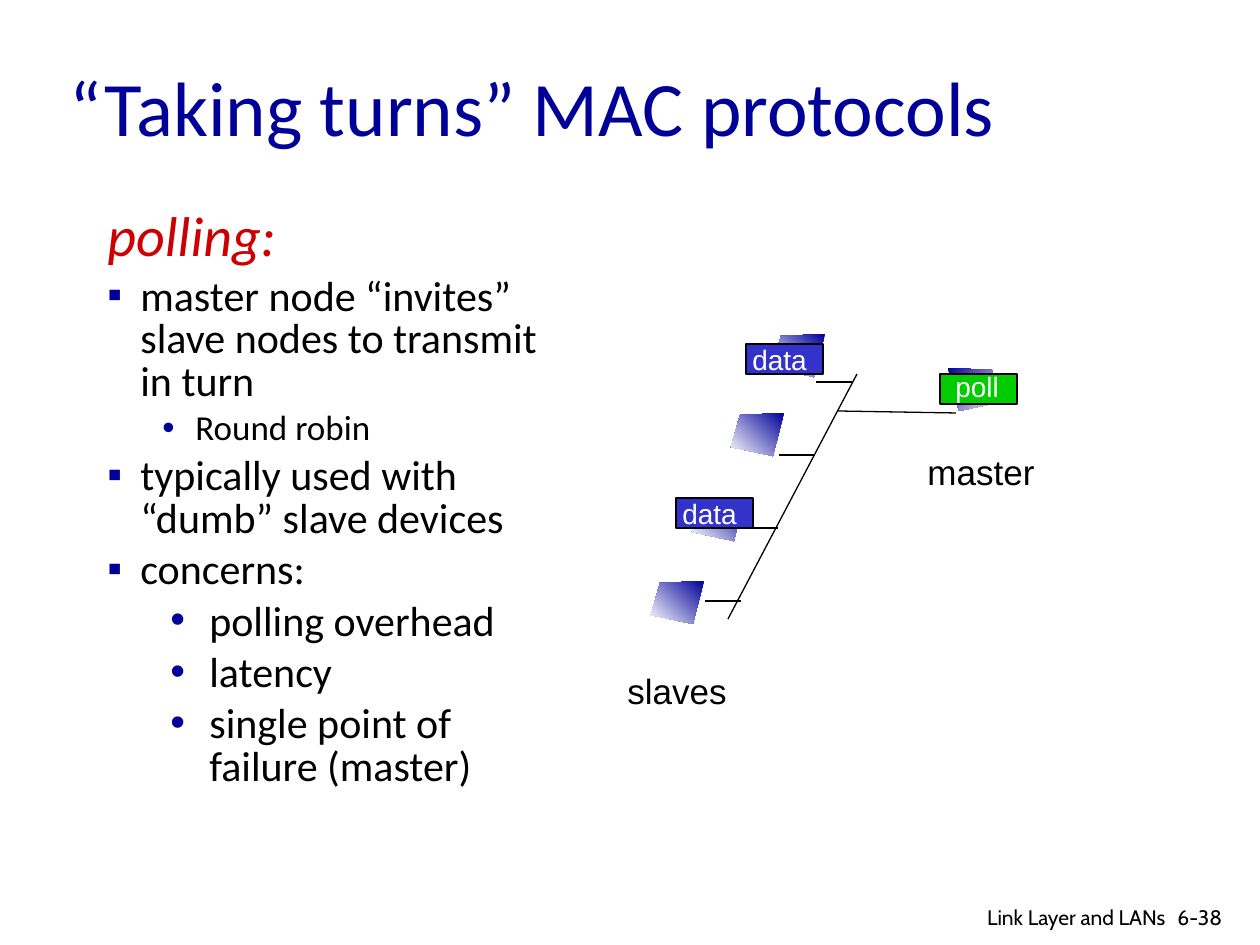
import lxml.etree
import pptx
import pptx.dml.color
import pptx.enum.shapes
import pptx.enum.text
import pptx.oxml.ns
import pptx.util

EMU_PER_PX = 914400 / 126
NAVY, BLACK, WHITE = "000099", "000000", "FFFFFF"
RED, GREEN, BLUE = "CC0000", "00CC00", "3333CC"


def px(length):
    return pptx.util.Emu(round(length * EMU_PER_PX))


def color(value):
    return pptx.dml.color.RGBColor.from_string(value)


def add_xml(parent, tag, **attributes):
    return lxml.etree.SubElement(parent, pptx.oxml.ns.qn(tag), attributes)


def set_attributes(target, values):
    for name, value in values.items():
        setattr(target, name, value)


class SlideBuilder:
    line_width = pptx.util.Pt(0.75)
    body_spacing = 0.85
    body_gap = 0.2

    def __init__(self, slide):
        self.slide = slide

    def style_run(self, paragraph, text, font, size, fill, italic=False):
        run = paragraph.add_run()
        run.text = text
        set_attributes(run.font, {"name": font, "size": pptx.util.Pt(size), "italic": italic})
        run.font.color.rgb = color(fill)

    def text_frame(self, left, top, width, height, **frame_format):
        frame = self.slide.shapes.add_textbox(*map(px, (left, top, width, height))).text_frame
        set_attributes(frame, {"word_wrap": True, **frame_format})
        return frame

    def text(self, bounds, text, font, size, fill, align=None, **frame_format):
        paragraph = self.text_frame(*bounds, **frame_format).paragraphs[0]
        paragraph.alignment = align
        self.style_run(paragraph, text, font, size, fill)

    def label(self, bounds, text, size, fill):
        self.text(bounds, text, "Arial", size, fill, word_wrap=False,
                  auto_size=pptx.enum.text.MSO_AUTO_SIZE.SHAPE_TO_FIT_TEXT)

    def body(self, bounds, items):
        frame = self.text_frame(*bounds)
        for index, (text, size, fill, level, margin, hanging, bullet) in enumerate(items):
            paragraph = frame.add_paragraph() if index else frame.paragraphs[0]
            properties = paragraph._p.get_or_add_pPr()
            properties.set("marL", str(px(margin)))
            properties.set("indent", str(px(-hanging)))
            if bullet:
                add_xml(add_xml(properties, "a:buClr"), "a:srgbClr", val=NAVY)
                add_xml(properties, "a:buFont", typeface="Arial")
                add_xml(properties, "a:buChar", char=bullet)
            gap = pptx.util.Pt(size * self.body_gap if index else 0)
            set_attributes(paragraph, {
                "level": level,
                "line_spacing": self.body_spacing,
                "space_before": gap,
            })
            self.style_run(paragraph, text, "Calibri", size, fill, italic=not bullet)

    def line(self, start_x, start_y, end_x, end_y):
        connector = self.slide.shapes.add_connector(
            pptx.enum.shapes.MSO_CONNECTOR.STRAIGHT,
            *map(px, (start_x, start_y, end_x, end_y)))
        connector.line.color.rgb = color(BLACK)
        connector.line.width = self.line_width
        add_xml(connector._element.spPr, "a:effectLst")

    def computer(self, x, y, direction, angle):
        outline = [(0, 0), (44, 2), (53, 34), (11, 43)]
        points = [(px(x + direction * dx), px(y + dy)) for dx, dy in outline]
        builder = self.slide.shapes.build_freeform(*points[0])
        builder.add_line_segments(points[1:], close=True)
        shape = builder.convert_to_shape()
        shape.shadow.inherit = False
        shape.line.fill.background()
        shape.fill.gradient()
        shape.fill.gradient_angle = angle
        for stop, value in zip(shape.fill.gradient_stops, (NAVY, WHITE)):
            stop.color.rgb = color(value)

    def packet(self, x, y, fill, text, label_dx, label_dy, label_width):
        shape = self.slide.shapes.add_shape(
            pptx.enum.shapes.MSO_SHAPE.RECTANGLE, *map(px, (x, y, 77, 30)))
        shape.shadow.inherit = False
        shape.fill.solid()
        shape.fill.fore_color.rgb = color(fill)
        shape.line.color.rgb = color(BLACK)
        shape.line.width = self.line_width
        self.label((x + label_dx, y + label_dy, label_width, 47), text, 16, WHITE)


def main():
    presentation = pptx.Presentation()
    presentation.slide_width, presentation.slide_height = px(1260), px(945)
    builder = SlideBuilder(presentation.slides.add_slide(presentation.slide_layouts[6]))

    for x, y in [(704, 581), (745, 498), (784, 413), (825, 334)]:
        builder.computer(x, y, -1, 225)
    builder.computer(948, 368, 1, 315)

    square, round_dot = (0, 33, 33, "▪"), (1, 102, 39, "•")
    builder.body((95, 205, 476, 698), [
        ("polling:", 32, RED, 0, 48, 48, None),
        ("master node “invites” slave nodes to transmit in turn", 24, BLACK, *square),
        ("Round robin", 20, BLACK, 1, 88, 33, "•"),
        ("typically used with “dumb” slave devices", 24, BLACK, *square),
        ("concerns:", 24, BLACK, *square),
        ("polling overhead", 24, BLACK, *round_dot),
        ("latency", 24, BLACK, *round_dot),
        ("single point of failure (master)", 24, BLACK, *round_dot),
    ])

    builder.line(857, 374, 728, 619)
    builder.line(838, 411, 956, 413)
    for tap in range(4):
        x, y = 816 - 37 * tap, 382 + 73 * tap
        builder.line(x, y, x + 36, y)

    builder.label((915, 444, 132, 54), "master", 20, BLACK)
    builder.label((615, 663, 125, 54), "slaves", 20, BLACK)
    builder.packet(940, 374, GREEN, "poll", 3, -11, 72)
    for x, y in [(676, 498), (746, 344)]:
        builder.packet(x, y, BLUE, "data", -6, -8, 82)

    builder.text((57, 27, 1071, 158), "“Taking turns” MAC protocols", "Calibri", 44, NAVY,
                 vertical_anchor=pptx.enum.text.MSO_ANCHOR.MIDDLE)
    builder.text((1165, 898, 76, 38), "6-38", "Cabin", 12, BLACK)
    builder.text((878, 898, 300, 33), "Link Layer and LANs", "Cabin", 12, BLACK,
                 align=pptx.enum.text.PP_ALIGN.RIGHT)
    presentation.save("out.pptx")


if __name__ == "__main__":
    main()
